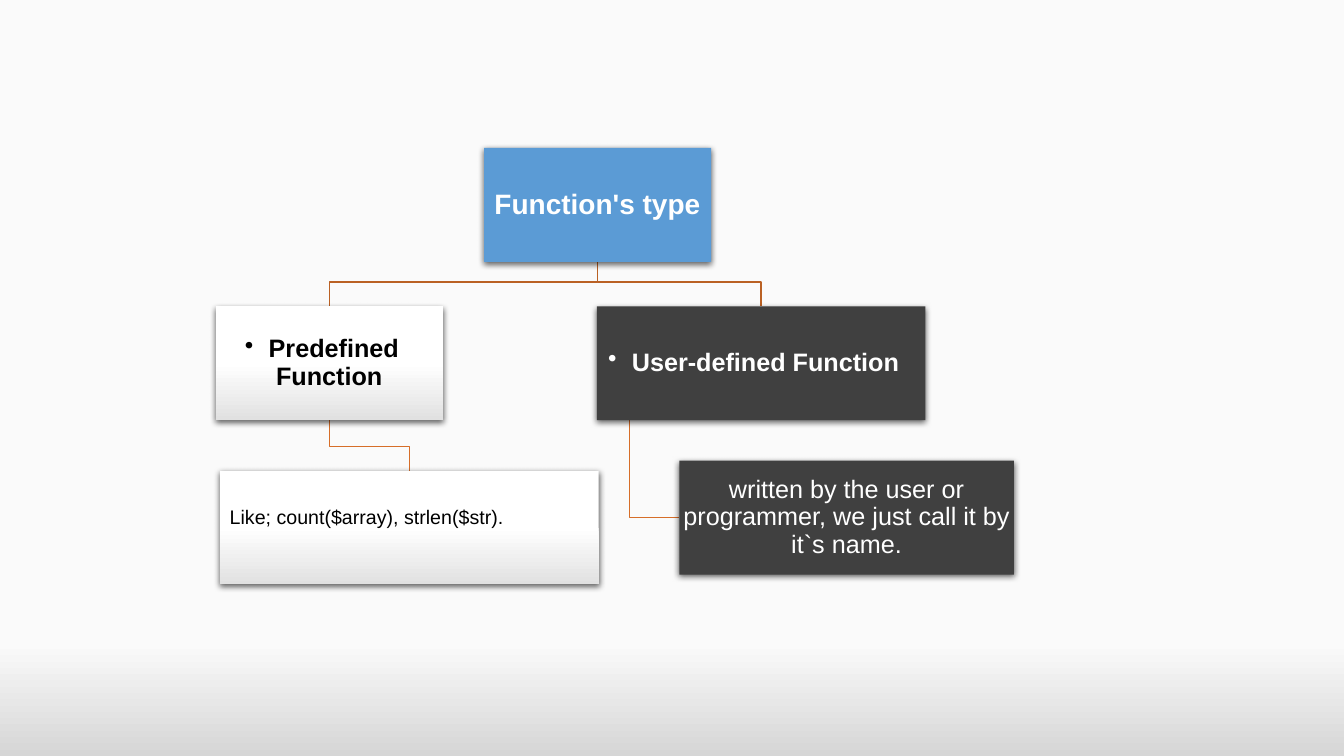
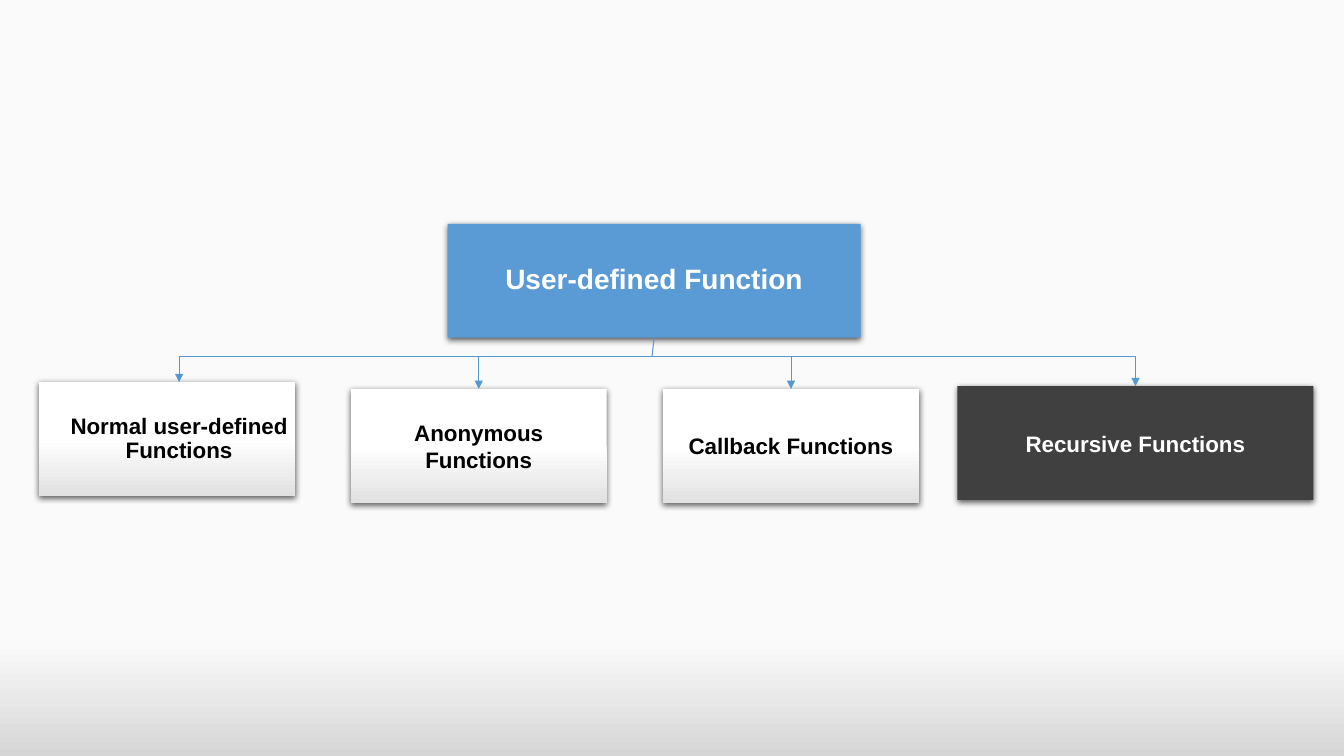
from lxml import etree
from pptx import Presentation
from pptx.dml.color import RGBColor
from pptx.enum.dml import MSO_THEME_COLOR
from pptx.enum.shapes import MSO_CONNECTOR, MSO_SHAPE
from pptx.enum.text import MSO_ANCHOR, PP_ALIGN
from pptx.oxml.ns import qn
from pptx.util import Cm, Pt

RECTANGLE = MSO_SHAPE.RECTANGLE
STRAIGHT, ELBOW = MSO_CONNECTOR.STRAIGHT, MSO_CONNECTOR.ELBOW
MIDDLE = MSO_ANCHOR.MIDDLE
LEFT, CENTER = PP_ALIGN.LEFT, PP_ALIGN.CENTER

COLORS = {
    "blue": "5B9BD5", "dark": "404040", "white": "FFFFFF", "black": "000000",
    "page": "FAFAFA", "page_end": "D6D6D6", "box_end": "E1E1E1",
    "upper_line": "BA6124", "lower_line": "D66E29", "arrow": "5597D3",
}
PAGE_STOPS = [(0, "page"), (85, "page"), (100, "page_end")]
BOX_STOPS = [(0, "white"), (50, "white"), (100, "box_end")]
FONT = "Arial"
BOX_HEIGHT = 2.87
TIGHT, ROOMY = 0.03, 0.25  # text insets

# Boxes: position and width in cm, look, text and its format
TYPES = {
    "root": dict(left=12.2, top=3.73, width=5.72, look="blue",
                 text="Function's type", size=20, bold=True),
    "predefined": dict(left=5.44, top=7.72, width=5.72, look="light",
                       text="Predefined Function", size=18, bold=True, bullet=True),
    "examples": dict(left=5.54, top=11.86, width=9.55, look="light",
                     text="Like; count($array), strlen($str).", size=14, align=LEFT,
                     inset=ROOMY, bottom=0.82, spacing=1.0),
    "user": dict(left=15.04, top=7.72, width=8.28, look="dark",
                 text="User-defined Function", size=18, bold=True, bullet=True),
    "meaning": dict(left=17.12, top=11.61, width=8.43, look="dark", size=18,
                    text="written by the user or programmer, we just call it by it`s name."),
}
USER_ROOT = dict(left=11.28, top=5.64, width=10.41, look="blue",
                 text="User-defined Function", size=20, bold=True)
KIND = dict(size=16, bold=True)
ROOMY_KIND = dict(KIND, inset=ROOMY, spacing=1.0)
USER_KINDS = [
    dict(KIND, left=0.99, top=9.63, width=6.45, look="light", shift=0.6,
         text="Normal user-defined Functions"),
    dict(ROOMY_KIND, left=8.84, top=9.8, width=6.45, look="light",
         text="Anonymous Functions"),
    dict(ROOMY_KIND, left=16.71, top=9.8, width=6.45, look="light",
         text="Callback Functions"),
    dict(ROOMY_KIND, left=24.13, top=9.73, width=8.97, look="dark",
         text="Recursive Functions"),
]


def rgb(name):
    return RGBColor.from_string(COLORS[name])


def fill_gradient(fill, owner, stops):
    """Fill from top to bottom with (percent, color) stops."""
    fill.gradient()
    fill.gradient_angle = 270
    stop_list = owner.find(".//" + qn("a:gsLst"))
    for old_stop in list(stop_list):
        stop_list.remove(old_stop)
    for percent, color in stops:
        stop = etree.SubElement(stop_list, qn("a:gs"), pos=str(percent * 1000))
        etree.SubElement(stop, qn("a:srgbClr"), val=COLORS[color])


def add_shadow(shape):
    shape.shadow.inherit = False
    effects = shape._element.spPr.find(qn("a:effectLst"))
    shadow = etree.SubElement(effects, qn("a:outerShdw"), blurRad=str(Pt(4.5)),
                              dist=str(Pt(1.5)), dir="5400000", rotWithShape="0")
    color = etree.SubElement(shadow, qn("a:srgbClr"), val=COLORS["black"])
    etree.SubElement(color, qn("a:alpha"), val="62000")


def write_text(box, text, size, color, bold=False, bullet=False, align=CENTER,
               inset=TIGHT, bottom=None, shift=0, spacing=0.9):
    frame = box.text_frame
    frame.word_wrap = True
    frame.vertical_anchor = MIDDLE
    frame.margin_left = Cm(inset + shift)
    frame.margin_right = frame.margin_top = Cm(inset)
    frame.margin_bottom = Cm(inset if bottom is None else bottom)
    para = frame.paragraphs[0]
    para.alignment = align
    para.line_spacing = spacing
    if bullet:
        etree.SubElement(para._p.get_or_add_pPr(), qn("a:buChar"), char="•")
    span = para.add_run()
    span.text = text
    span.font.name = FONT
    span.font.size = Pt(size)
    span.font.bold = bold
    span.font.color.rgb = rgb(color)


def add_box(page, left, top, width, look, **text_format):
    box = page.shapes.add_shape(RECTANGLE, Cm(left), Cm(top), Cm(width), Cm(BOX_HEIGHT))
    if look == "light":
        fill_gradient(box.fill, box._element.spPr, BOX_STOPS)
    else:
        box.fill.solid()
        box.fill.fore_color.rgb = rgb(look)
    box.line.fill.background()
    add_shadow(box)
    write_text(box, color="black" if look == "light" else "white", **text_format)


def add_path(page, points, color):
    """Draw an open line through points given in cm."""
    corners = [(Cm(x), Cm(y)) for x, y in points]
    builder = page.shapes.build_freeform(*corners[0])
    builder.add_line_segments(corners[1:], close=False)
    path_shape = builder.convert_to_shape()
    path_shape.fill.background()
    path_shape.line.color.rgb = rgb(color)
    path_shape.line.width = Pt(1)
    path_shape.shadow.inherit = False


def add_line(page, start, end, kind=STRAIGHT):
    """Draw a plain line, or a one-bend arrow that ends vertically."""
    line = page.shapes.add_connector(kind, *[Cm(value) for value in start + end])
    line.line.color.rgb = rgb("arrow")
    line.line.width = Pt(0.75)
    properties = line._element.spPr
    if kind == ELBOW:
        properties.find(qn("a:prstGeom")).set("prst", "bentConnector2")
        etree.SubElement(properties.find(qn("a:ln")), qn("a:tailEnd"), type="triangle")
    etree.SubElement(properties, qn("a:effectLst"))


def center(box):
    return box["left"] + box["width"] / 2


def bottom_edge(box):
    return box["top"] + BOX_HEIGHT


def step_down(parent, child, bend):
    """Points from a parent's bottom to a child's top, turning at bend."""
    return [(center(parent), bottom_edge(parent)), (center(parent), bend),
            (center(child), bend), (center(child), child["top"])]


def build_types(page):
    root, predefined, examples, user, meaning = TYPES.values()
    # Connecting lines
    user_x = user["left"] + user["width"] / 10
    meaning_y = meaning["top"] + BOX_HEIGHT / 2
    add_path(page, [(user_x, bottom_edge(user)), (user_x, meaning_y),
                    (meaning["left"], meaning_y)], "lower_line")
    add_path(page, step_down(root, user, 7.11), "upper_line")
    add_path(page, step_down(predefined, examples, 11.25), "lower_line")
    add_path(page, step_down(root, predefined, 7.11), "upper_line")
    # Boxes
    for box in TYPES.values():
        add_box(page, **box)


def build_user_kinds(page):
    for box in [USER_ROOT] + USER_KINDS:
        add_box(page, **box)
    # Trunk and arrows
    fork = (16.43, 8.99)
    add_line(page, (center(USER_ROOT), bottom_edge(USER_ROOT)), fork)
    for kind in USER_KINDS:
        tip = (center(kind) + kind.get("shift", 0) / 2, kind["top"])
        add_line(page, fork, tip, ELBOW)


def main():
    deck = Presentation()
    deck.slide_width, deck.slide_height = Cm(33.87), Cm(19.05)
    # Shared background
    master = deck.slide_master
    fill_gradient(master.background.fill, master.element, PAGE_STOPS)
    for build in (build_types, build_user_kinds):
        build(deck.slides.add_slide(deck.slide_layouts[6]))
    deck.save("out.pptx")


if __name__ == "__main__":
    main()
